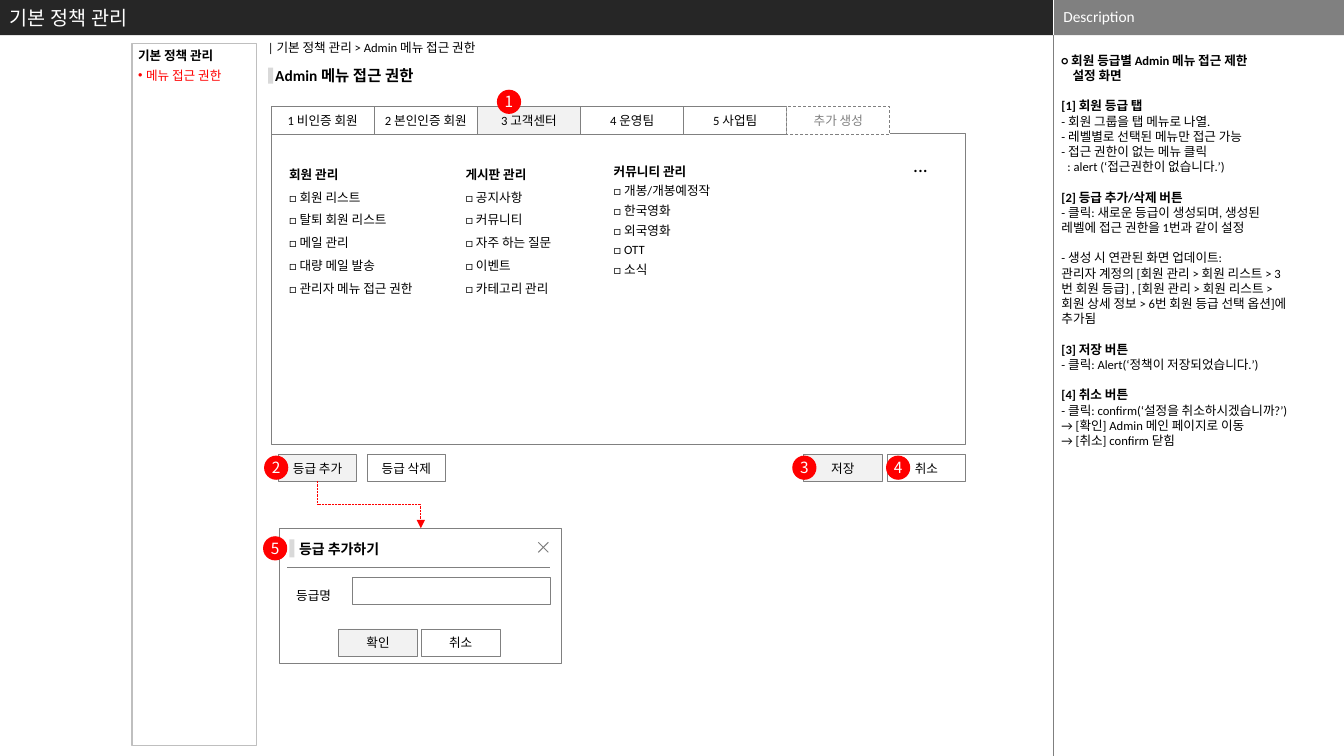
from lxml.etree import SubElement
from pptx import Presentation
from pptx.dml.color import RGBColor
from pptx.enum.dml import MSO_LINE
from pptx.enum.shapes import MSO_CONNECTOR, MSO_SHAPE
from pptx.enum.text import MSO_ANCHOR, MSO_AUTO_SIZE, PP_ALIGN
from pptx.oxml.ns import qn
from pptx.util import Inches, Pt

COLORS = {
    "header": "262626", "gray": "808080", "rule": "7F7F7F", "border": "BFBFBF",
    "accent": "D9D9D9", "active": "F2F2F2", "white": "FFFFFF", "black": "000000",
    "red": "FF0000",
}
RGB = {name: RGBColor.from_string(value) for name, value in COLORS.items()}
GRID = Inches(0.1)
COLUMNS, ROWS = 133.33, 75
SPLIT = 104.5
HEADER_ROWS = 3.5
PANEL_LEFT, PANEL_TOP = 26.9, 13.2
TAB_WIDTH, BUTTON_WIDTH, CONTROL_HEIGHT = 10.23, 7.8, 2.7
BADGE = 2.4

deck = Presentation()
deck.slide_width = round(COLUMNS * GRID)
deck.slide_height = ROWS * GRID
slide = deck.slides.add_slide(deck.slide_layouts[6])
shapes = slide.shapes


def draw(cells, fill=None, line=None, weight=0.5, kind=MSO_SHAPE.RECTANGLE):
    shape = shapes.add_shape(kind, *[round(cell * GRID) for cell in cells])
    shape.shadow.inherit = False
    for part, color in ((shape.fill, fill), (shape.line.fill, line)):
        if color:
            part.solid()
            part.fore_color.rgb = RGB[color]
        else:
            part.background()
    if line:
        shape.line.width = Pt(weight)
    return shape


def write(shape, lines, size=9, color="black", font="Calibri", align=PP_ALIGN.LEFT,
          anchor=MSO_ANCHOR.TOP, insets=(1, 0.5, 1, 0.5), wrap=True, spacing=None):
    frame = shape.text_frame
    left, top, right, bottom = [round(inset * GRID) for inset in insets]
    frame_format = {
        "word_wrap": wrap, "vertical_anchor": anchor,
        "auto_size": MSO_AUTO_SIZE.NONE if wrap else MSO_AUTO_SIZE.SHAPE_TO_FIT_TEXT,
        "margin_left": left, "margin_top": top,
        "margin_right": right, "margin_bottom": bottom,
    }
    for name, value in frame_format.items():
        setattr(frame, name, value)
    for index, (text, bold) in enumerate(lines):
        paragraph = frame.paragraphs[0] if index == 0 else frame.add_paragraph()
        paragraph.alignment = align
        if spacing:
            paragraph.line_spacing = spacing
        run = paragraph.add_run()
        run.text = text
        for name, value in {"size": Pt(size), "bold": bold, "name": font}.items():
            setattr(run.font, name, value)
        run.font.color.rgb = RGB[color]
        SubElement(run.font._element, qn("a:ea")).set("typeface", font)
    return frame


draw((0, 0, SPLIT, HEADER_ROWS), "header")
draw((SPLIT, 0, COLUMNS - SPLIT, HEADER_ROWS), "gray")
draw((PANEL_LEFT, PANEL_TOP, 68.9, 30.9), "white", "gray")
sidebar = draw((13.1, 4.3, 12.4, 69.7), None, "border", 0.75)
draw((26.6, 6.7, 0.5, 1.6), "accent")
draw((27.7, 52.4, 28, 13.4), "white", "gray")
draw((28.7, 53.5, 0.5, 1.8), "accent")
draw((35, 57.3, 19.6, CONTROL_HEIGHT), None, "gray")

menu = write(sidebar, [("기본 정책 관리", True), ("메뉴 접근 권한", False)],
             insets=(0.6, 0.5, 0, 0.5))
selected_menu = menu.paragraphs[1]
selected_menu.line_spacing = Pt(14)
selected_menu.runs[0].font.color.rgb = RGB["red"]
menu_indent = selected_menu._p.get_or_add_pPr()
menu_indent.set("marL", str(Inches(0.08)))
menu_indent.set("indent", str(-Inches(0.08)))
SubElement(menu_indent, qn("a:buFont")).set("typeface", "Arial")
SubElement(menu_indent, qn("a:buChar")).set("char", "•")

tabs = ["1 비인증 회원", "2 본인인증 회원", "3 고객센터", "4 운영팀", "5 사업팀", "추가 생성"]
controls = [
    (PANEL_LEFT + position * TAB_WIDTH, PANEL_TOP - 2.6, TAB_WIDTH, label, label == "3 고객센터")
    for position, label in enumerate(tabs)
] + [
    (left, top, BUTTON_WIDTH, label, active)
    for left, top, label, active in (
        (27.6, 45.1, "등급 추가", True), (36.4, 45.1, "등급 삭제", False),
        (79.7, 45.1, "저장", True), (88, 45.1, "취소", False),
        (33.6, 62.4, "확인", True), (41.8, 62.4, "취소", False))
]
for left, top, width, label, active in controls:
    control = draw((left, top, width, CONTROL_HEIGHT), "active" if active else "white", "gray")
    pending = label == "추가 생성"
    write(control, [(label, False)], color="gray" if pending else "black",
          align=PP_ALIGN.CENTER, anchor=MSO_ANCHOR.MIDDLE, insets=[0.4] * 4)
    if pending:
        control.line.dash_style = MSO_LINE.DASH

permission_groups = [
    ((27.7, 15.3, 16.3, 14.6), 1.5, "회원 관리",
     ["회원 리스트", "탈퇴 회원 리스트", "메일 관리", "대량 메일 발송", "관리자 메뉴 접근 권한"]),
    ((45.2, 15.3, 14.7, 14.4), 1.5, "게시판 관리",
     ["공지사항", "커뮤니티", "자주 하는 질문", "이벤트", "카테고리 관리"]),
    ((59.9, 15.3, 13.2, 16.6), Pt(14), "커뮤니티 관리",
     ["개봉/개봉예정작", "한국영화", "외국영화", "OTT", "소식"]),
]
for cells, spacing, group, items in permission_groups:
    checklist = shapes.add_textbox(*[round(cell * GRID) for cell in cells])
    write(checklist, [(group, True)] + [(f"□ {item}", False) for item in items], spacing=spacing)

captions = [
    ((0, 0.1, 16.3, 3.4), "기본 정책 관리", {"size": 14, "color": "white"}),
    ((SPLIT, -0.1, 28.9, 3.5), "Description",
     {"size": 11, "color": "white", "anchor": MSO_ANCHOR.MIDDLE}),
    ((25.6, 3.5, 24, 2.5), "| 기본 정책 관리 > Admin 메뉴 접근 권한", {"wrap": False}),
    ((27.3, 6.6, 14.5, 1.9), "Admin 메뉴 접근 권한",
     {"size": 11, "insets": [0] * 4, "wrap": False}),
    ((89.6, 15.1, 3.5, 3), "...", {"size": 14, "spacing": Pt(14), "wrap": False}),
    ((28.7, 53.1, 10.9, 2.7), "등급 추가하기", {"size": 10, "wrap": False}),
    ((28.4, 56.3, 5.8, 3.6), "등급명", {"spacing": 2.0, "wrap": False}),
]
bold_captions = ("Admin 메뉴 접근 권한", "등급 추가하기")
for cells, text, style in captions:
    caption = shapes.add_textbox(*[round(cell * GRID) for cell in cells])
    write(caption, [(text, text in bold_captions)], **style)

sections = [
    [("○ 회원 등급별 Admin 메뉴 접근 제한", True), ("설정 화면", True)],
    [("[1] 회원 등급 탭", True), ("- 회원 그룹을 탭 메뉴로 나열.", False),
     ("- 레벨별로 선택된 메뉴만 접근 가능", False), ("- 접근 권한이 없는 메뉴 클릭", False),
     (": alert (‘접근권한이 없습니다.’)", False)],
    [("[2] 등급 추가/삭제 버튼", True),
     ("- 클릭: 새로운 등급이 생성되며, 생성된 레벨에 접근 권한을 1번과 같이 설정", False)],
    [("- 생성 시 연관된 화면 업데이트:", False),
     ("관리자 계정의 [회원 관리 > 회원 리스트 > 3번 회원 등급] , [회원 관리 > 회원 리스트 > "
      "회원 상세 정보 > 6번 회원 등급 선택 옵션]에 추가됨", False)],
    [("[3] 저장 버튼", True), ("- 클릭: Alert(‘정책이 저장되었습니다.’)", False)],
    [("[4] 취소 버튼", True), ("- 클릭: confirm(‘설정을 취소하시겠습니까?’)", False),
     ("→ [확인] Admin 메인 페이지로 이동", False), ("→ [취소] confirm 닫힘", False)],
]
description = shapes.add_textbox(*[round(cell * GRID) for cell in (104.9, 5.22, 23.4, 69.78)])
notes = write(description, [line for section in sections for line in section],
              insets=(0.4, 0, 0.4, 0))
section_starts = [section[0][0] for section in sections[1:]]
hanging = {"설정 화면": Inches(0.11), ": alert (‘접근권한이 없습니다.’)": Inches(0.06)}
for paragraph in notes.paragraphs:
    if paragraph.text in section_starts:
        paragraph.space_before = Pt(11)
    if paragraph.text in hanging:
        paragraph._p.get_or_add_pPr().set("marL", str(hanging[paragraph.text]))

badges = [(49.3, 8.9), (26.2, 45.2), (78.6, 45.2), (87.9, 45.2), (26.1, 53.2)]
for number, (left, top) in enumerate(badges, 1):
    badge = draw((left, top, BADGE, BADGE), "red", kind=MSO_SHAPE.OVAL)
    write(badge, [(str(number), False)], 11, "white", "Noto Sans CJK KR",
          PP_ALIGN.CENTER, MSO_ANCHOR.MIDDLE, [0] * 4)

close_left, close_top, close_size = [round(cell * GRID) for cell in (53.4, 53.8, 1)]
close_right, close_bottom = close_left + close_size, close_top + close_size
cross = shapes.build_freeform(close_right, close_top)
cross.add_line_segments([(close_left, close_bottom)], close=False)
cross.move_to(close_left, close_top)
cross.add_line_segments([(close_right, close_bottom)], close=False)
close_icon = cross.convert_to_shape()
close_icon.shadow.inherit = False
close_icon.fill.background()
close_icon.line.color.rgb = RGB["gray"]
close_icon.line.width = Pt(0.75)

connectors = [
    (MSO_CONNECTOR.STRAIGHT, (SPLIT, 0, SPLIT, HEADER_ROWS), "white", 0.25),
    (MSO_CONNECTOR.STRAIGHT, (SPLIT, HEADER_ROWS, SPLIT, ROWS), "rule", 0.25),
    (MSO_CONNECTOR.STRAIGHT, (28.5, 56.3, 54.6, 56.3), "gray", 0.5),
    (MSO_CONNECTOR.ELBOW, (34.25, 44.9, 38.95, 55.2), "red", 0.5),
]
for kind, ends, color, weight in connectors:
    connector = shapes.add_connector(kind, *[round(end * GRID) for end in ends])
    connector.line.color.rgb = RGB[color]
    connector.line.width = Pt(weight)
    if kind == MSO_CONNECTOR.ELBOW:
        connector.line.dash_style = MSO_LINE.ROUND_DOT
        SubElement(connector.line._get_or_add_ln(), qn("a:tailEnd")).set("type", "triangle")
        turn = connector._element.spPr.find(qn("a:xfrm"))
        turn.set("rot", str(270 * 60000))
        turn.set("flipH", "1")
    SubElement(connector._element.spPr, qn("a:effectLst"))

deck.save("out.pptx")
